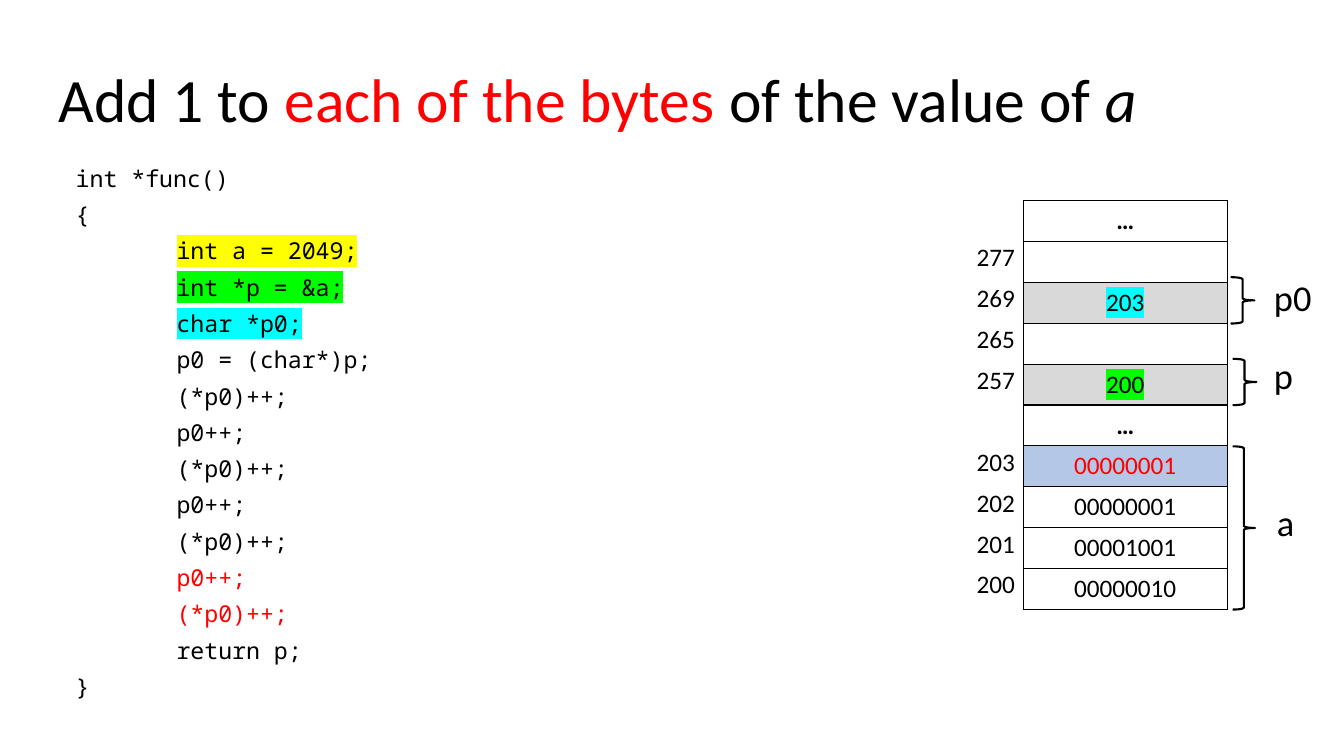
from dataclasses import dataclass
from typing import Any, Optional

from lxml.etree import SubElement
from pptx import Presentation
from pptx.dml.color import RGBColor
from pptx.enum.shapes import MSO_SHAPE as Preset
from pptx.enum.text import MSO_ANCHOR as Anchor, MSO_AUTO_SIZE as Fit, PP_ALIGN as Align
from pptx.oxml.ns import qn
from pptx.util import Pt

BLACK = RGBColor(0x00, 0x00, 0x00)
RED = RGBColor(0xFF, 0x00, 0x00)
YELLOW = RGBColor(0xFF, 0xFF, 0x00)
GREEN = RGBColor(0x00, 0xFF, 0x00)
CYAN = RGBColor(0x00, 0xFF, 0xFF)
GREY = RGBColor(0xD9, 0xD9, 0xD9)
BLUE = RGBColor(0xB4, 0xC7, 0xE7)
SANS, MONO = "Calibri", "Noto Sans Mono"

ROW = 29.22
TOP = 143.3
TAB = 72


@dataclass
class Span:
    text: str
    color: RGBColor = BLACK
    mark: Optional[RGBColor] = None
    bold: bool = False
    slant: bool = False


@dataclass
class Line:
    span: Span
    depth: int = 1


@dataclass
class Slot:
    """One memory row: its value, fill and the address beside it."""
    span: Optional[Span] = None
    fill: Optional[RGBColor] = None
    label: str = ""


@dataclass
class Brace:
    name: str
    left: float
    top: float
    width: float
    height: float
    text_left: float
    text_top: float


TITLE = [
    Span("Add 1 to "),
    Span("each of the bytes ", RED),
    Span("of the value of "),
    Span("a", slant=True),
]

CODE = [
    Line(Span("int *func()"), 0),
    Line(Span("{"), 0),
    Line(Span("int a = 2049;", mark=YELLOW)),
    Line(Span("int *p = &a;", mark=GREEN)),
    Line(Span("char *p0;", mark=CYAN)),
    Line(Span("p0 = (char*)p;")),
    Line(Span("(*p0)++;")),
    Line(Span("p0++;")),
    Line(Span("(*p0)++;")),
    Line(Span("p0++;")),
    Line(Span("(*p0)++;")),
    Line(Span("p0++;", RED)),
    Line(Span("(*p0)++;", RED)),
    Line(Span("return p;")),
    Line(Span("}"), 0),
]

SLOTS = [
    Slot(Span("…", bold=True)),
    Slot(label="277"),
    Slot(Span("203", mark=CYAN), GREY, "269"),
    Slot(label="265"),
    Slot(Span("200", mark=GREEN), GREY, "257"),
    Slot(Span("…", bold=True)),
    Slot(Span("00000001", RED), BLUE, "203"),
    Slot(Span("00000001"), label="202"),
    Slot(Span("00001001"), label="201"),
    Slot(Span("00000010"), label="200"),
]

BRACES = [
    Brace("a", 880.5, 318.8, 16, 116.6, 905, 353.8),
    Brace("p", 880.5, 256.3, 17, 33.1, 902.9, 248.4),
    Brace("p0", 879.1, 198, 17, 33.1, 902.9, 193),
]


def apply(item: Any, vals: dict) -> None:
    for key, val in vals.items():
        setattr(item, key, val)


def write(para: Any, span: Span, size: float, face: str = SANS) -> None:
    run = para.add_run()
    run.text = span.text
    apply(run.font, {"size": Pt(size), "name": face, "bold": span.bold,
                     "italic": span.slant})
    run.font.color.rgb = span.color
    if span.mark is not None:
        props = run.font._element
        mark = SubElement(props, qn("a:highlight"))
        SubElement(mark, qn("a:srgbClr"), val=str(span.mark))
        props.find(qn("a:solidFill")).addnext(mark)


def add_box(slide: Any, left: float, top: float, width: float, height: float) -> Any:
    frame = slide.shapes.add_textbox(Pt(left), Pt(top), Pt(width), Pt(height)).text_frame
    frame.word_wrap = True
    return frame


def add_label(slide: Any, text: str, left: float, top: float, size: float) -> None:
    frame = add_box(slide, left, top, 50, size * 1.22 + 7.2)
    write(frame.paragraphs[0], Span(text), size)


def add_title(slide: Any) -> None:
    title = slide.shapes.title
    apply(title, {"left": Pt(34.6), "top": Pt(20.9), "width": Pt(828), "height": Pt(104.4)})
    apply(title.text_frame, {"word_wrap": True, "auto_size": Fit.NONE,
                             "vertical_anchor": Anchor.MIDDLE})
    para = title.text_frame.paragraphs[0]
    apply(para, {"alignment": Align.LEFT, "line_spacing": 0.9})
    for span in TITLE:
        write(para, span, 44)


def add_code(slide: Any) -> None:
    frame = add_box(slide, 47, 117.4, 625.7, 408.2)
    for num, line in enumerate(CODE):
        para = frame.add_paragraph() if num else frame.paragraphs[0]
        apply(para, {"line_spacing": 0.8, "space_before": Pt(10 if num else 0)})
        if line.depth:
            stops = SubElement(para._p.get_or_add_pPr(), qn("a:tabLst"))
            SubElement(stops, qn("a:tab"), pos=str(Pt(TAB)), algn="l")
            write(para, Span("\t" * line.depth), 16.6, MONO)
        write(para, line.span, 16.6, MONO)


def add_edges(cell: Any) -> None:
    """Draw a thin black border on all four sides, ahead of the cell's fill."""
    props = cell._tc.get_or_add_tcPr()
    for num, side in enumerate(("lnL", "lnR", "lnT", "lnB")):
        edge = SubElement(props, qn(f"a:{side}"), w=str(Pt(1)))
        fill = SubElement(edge, qn("a:solidFill"))
        SubElement(fill, qn("a:srgbClr"), val=str(BLACK))
        props.insert(num, edge)


def add_stack(slide: Any) -> None:
    table = slide.shapes.add_table(len(SLOTS), 1, Pt(730.9), Pt(TOP), Pt(145.8),
                                   Pt(ROW * len(SLOTS))).table
    apply(table, {"first_row": False, "horz_banding": False})
    for num, slot in enumerate(SLOTS):
        table.rows[num].height = Pt(ROW)
        cell = table.cell(num, 0)
        if slot.fill is None:
            cell.fill.background()
        else:
            cell.fill.solid()
            cell.fill.fore_color.rgb = slot.fill
        add_edges(cell)
        para = cell.text_frame.paragraphs[0]
        para.alignment = Align.CENTER
        if slot.span:
            write(para, slot.span, 18)
        if slot.label:
            add_label(slide, slot.label, 690.5, TOP - 3.6 + ROW * num, 18)


def add_brace(slide: Any, brace: Brace) -> None:
    shape = slide.shapes.add_shape(Preset.RIGHT_BRACE, Pt(brace.left), Pt(brace.top),
                                   Pt(brace.width), Pt(brace.height))
    shape.shadow.inherit = False
    shape.fill.background()
    shape.line.color.rgb = BLACK
    shape.line.width = Pt(1.5)
    add_label(slide, brace.name, brace.text_left, brace.text_top, 26)


def main() -> None:
    deck = Presentation()
    apply(deck, {"slide_width": Pt(960), "slide_height": Pt(540)})
    slide = deck.slides.add_slide(deck.slide_layouts.get_by_name("Title Only"))
    add_title(slide)
    add_code(slide)
    add_stack(slide)
    for brace in BRACES:
        add_brace(slide, brace)
    deck.save("out.pptx")


if __name__ == "__main__":
    main()
